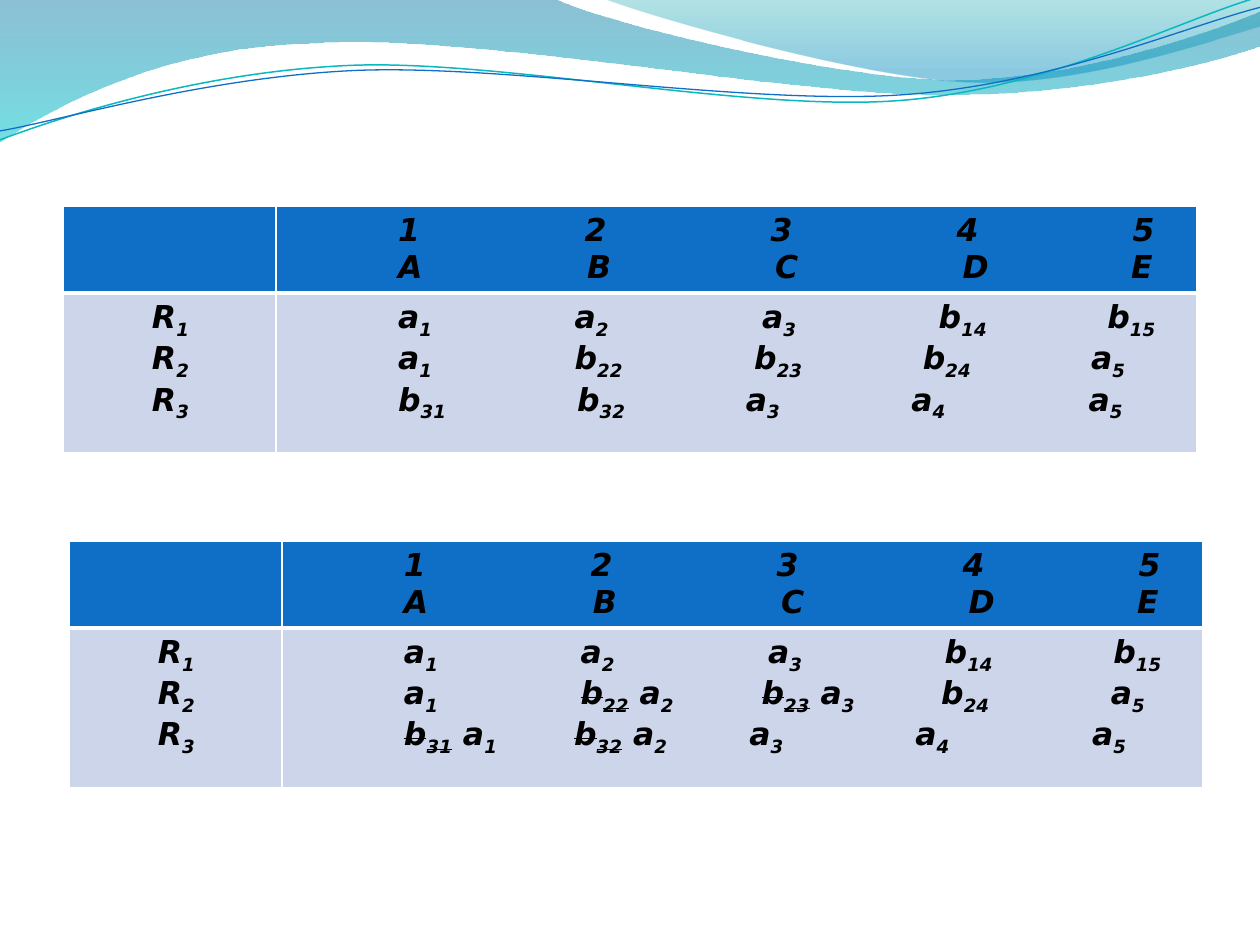
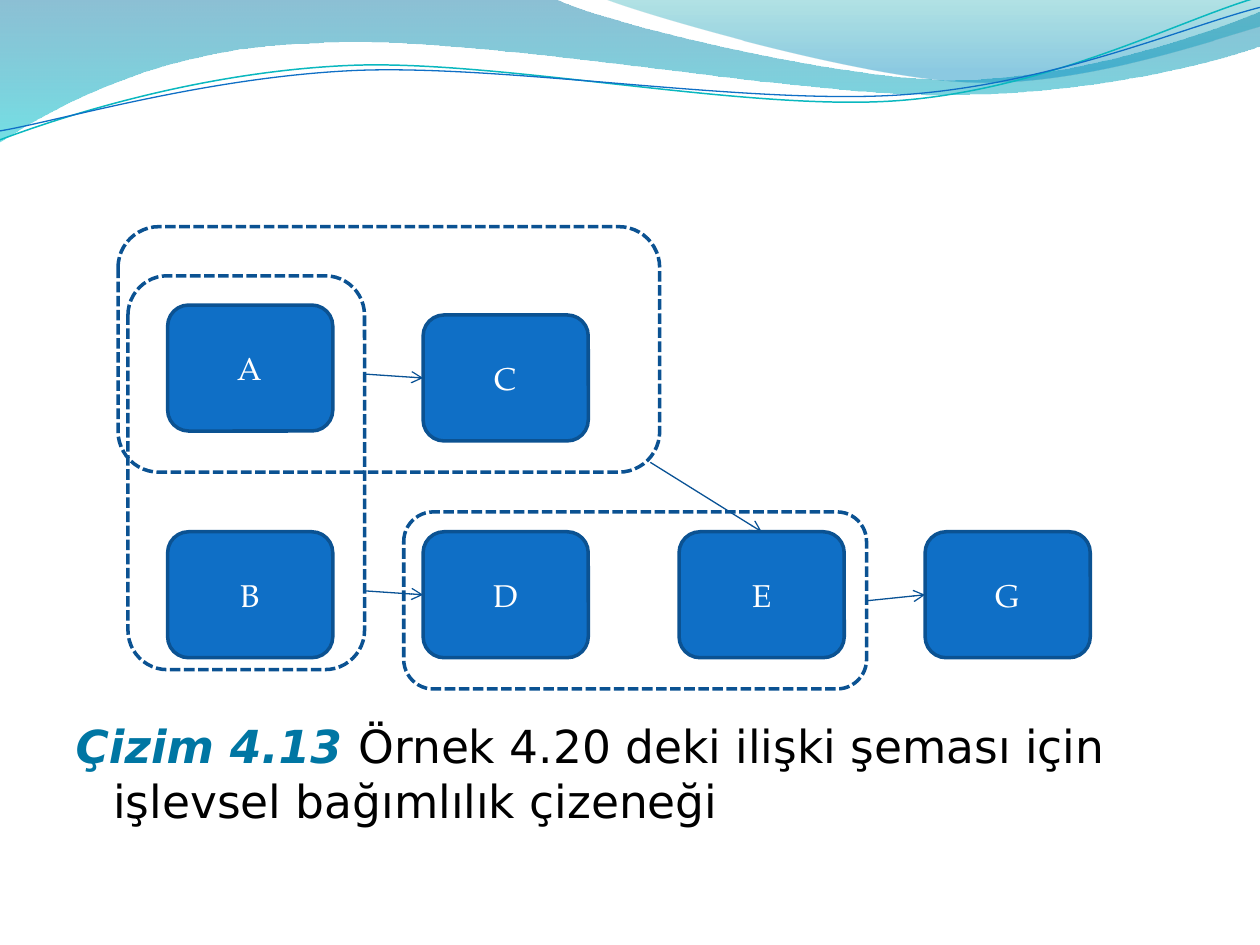
"""Builds two slides: relation tables and a functional dependency diagram."""
from lxml.etree import SubElement
from pptx import Presentation
from pptx.dml.color import RGBColor
from pptx.enum.dml import MSO_LINE
from pptx.enum.shapes import MSO_CONNECTOR, MSO_SHAPE
from pptx.enum.text import MSO_ANCHOR, MSO_AUTO_SIZE, PP_ALIGN
from pptx.oxml.ns import qn
from pptx.util import Cm, Pt

TOP_SITE, LEFT_SITE = 0, 1


def color(value):
    """Return the colour of a hex string."""
    return RGBColor.from_string(value)


class Deck:
    """Holds the shared style and the current slide."""

    BLUE, OUTLINE, ARROW = "0F6FC6", "0B5292", "095295"
    PALE, WHITE, BLACK, ACCENT = "CCD5EA", "FFFFFF", "000000", "0076A3"
    SANS, SERIF = "DejaVu Sans", "TeX Gyre Pagella"

    def __init__(self):
        """Start a presentation of 4:3 slides."""
        self.presentation = Presentation()
        self.presentation.slide_width = Cm(25.4)
        self.presentation.slide_height = Cm(19.05)
        self.slide = None

    def add_slide(self, layout_index):
        """Add a slide and make it the current one."""
        layout = self.presentation.slide_layouts[layout_index]
        self.slide = self.presentation.slides.add_slide(layout)

    def style(self, run, size, font, value, emphasis=False):
        """Format a run; emphasis is bold italic."""
        run.font.size = Pt(size)
        run.font.name = font
        run.font.color.rgb = color(value)
        run.font.bold = run.font.italic = emphasis

    def outline(self, start, segments, closed):
        """Draw straight segments of one point and cubic curves of three."""
        points = [(Cm(x), Cm(y)) for segment in segments for x, y in segment]
        builder = self.slide.shapes.build_freeform(Cm(start[0]), Cm(start[1]))
        builder.add_line_segments(points, close=closed)
        shape = builder.convert_to_shape()
        shape.shadow.inherit = False
        lines = iter(list(shape._element.iter(qn("a:lnTo"))))
        for segment in segments:
            members = [next(lines) for _ in segment]
            if len(members) == 3:
                curve = SubElement(members[0].getparent(), qn("a:cubicBezTo"))
                members[0].addprevious(curve)
                for member in members:
                    curve.append(member[0])
                    member.getparent().remove(member)
        return shape

    def wave(self, start, segments, stops):
        """Draw a filled wave with a transparent vertical gradient."""
        shape = self.outline(start, segments, True)
        shape.line.fill.background()
        shape.fill.gradient()
        shape.fill.gradient_angle = 270
        for stop, (position, value, _) in zip(shape.fill.gradient_stops, stops):
            stop.position = position
            stop.color.rgb = color(value)
        for element, (_, _, opacity) in zip(shape._element.iter(qn("a:srgbClr")), stops):
            SubElement(element, qn("a:alpha")).set("val", str(opacity * 1000))
        return shape

    def wave_line(self, start, segments, value, width):
        """Draw a thin curved line."""
        shape = self.outline(start, segments, False)
        shape.fill.background()
        shape.line.color.rgb = color(value)
        shape.line.width = Pt(width)
        return shape

    def move_to_master(self, shapes):
        """Put shapes behind everything on the slide master."""
        tree = self.presentation.slide_master.shapes._spTree
        for index, shape in enumerate(shapes, 2):
            tree.insert(index, shape._element)

    def borders(self, cell, bottom_width):
        """Give a cell white borders."""
        properties = cell._tc.get_or_add_tcPr()
        for side, width in (("L", 1), ("R", 1), ("T", 1), ("B", bottom_width)):
            line = SubElement(properties, qn(f"a:ln{side}"), w=str(Pt(width)))
            fill = SubElement(line, qn("a:solidFill"))
            SubElement(fill, qn("a:srgbClr"), val=self.WHITE)

    def symbols(self, paragraph, entries, stops):
        """Write entries at tab stops; digits are lowered, a leading minus strikes."""
        tabs = SubElement(paragraph._p.get_or_add_pPr(), qn("a:tabLst"))
        for stop in stops:
            SubElement(tabs, qn("a:tab"), pos=str(Cm(stop)), algn="l")
        for entry in entries:
            gap = "\t"
            for word in entry.split():
                symbol = word.lstrip("-")
                struck = word != symbol
                pieces = [(gap, False, False)] if struck else []
                pieces.append((symbol[0] if struck else gap + symbol[0], struck, False))
                if symbol[1:]:
                    pieces.append((symbol[1:], struck, True))
                for text, strike, lowered in pieces:
                    run = paragraph.add_run()
                    run.text = text
                    self.style(run, 18, self.SANS, self.BLACK, True)
                    if strike:
                        run._r.get_or_add_rPr().set("strike", "sngStrike")
                    if lowered:
                        run._r.get_or_add_rPr().set("baseline", "-25000")
                gap = " "

    def relation_table(self, left, top, rows):
        """Add a table of relations against attributes."""
        frame = self.slide.shapes.add_table(2, 2, Cm(left), Cm(top), Cm(22.86), Cm(4.97))
        table = frame.table
        table.horz_banding = False
        for column, width in zip(table.columns, (4.29, 18.57)):
            column.width = Cm(width)
        for row, height in zip(table.rows, (1.75, 3.22)):
            row.height = Cm(height)
        names = [([name], [1.54]) for name in ("R1", "R2", "R3")]
        contents = (([], HEADINGS), (names, rows))
        for row_index, (fill, bottom) in enumerate(((self.BLUE, 3), (self.PALE, 1))):
            for column_index, lines in enumerate(contents[row_index]):
                cell = table.cell(row_index, column_index)
                self.borders(cell, bottom)
                cell.fill.solid()
                cell.fill.fore_color.rgb = color(fill)
                for index, (entries, stops) in enumerate(lines):
                    text_frame = cell.text_frame
                    paragraph = text_frame.add_paragraph() if index else text_frame.paragraphs[0]
                    self.symbols(paragraph, entries, stops)

    def rounded(self, left, top, width, height):
        """Add an outlined rounded rectangle."""
        shape = self.slide.shapes.add_shape(
            MSO_SHAPE.ROUNDED_RECTANGLE, Cm(left), Cm(top), Cm(width), Cm(height))
        shape.shadow.inherit = False
        shape.line.color.rgb = color(self.OUTLINE)
        shape.line.width = Pt(2)
        return shape

    def box(self, label, left, top):
        """Add a filled attribute box."""
        shape = self.rounded(left, top, 3.33, 2.54)
        shape.fill.solid()
        shape.fill.fore_color.rgb = color(self.BLUE)
        shape.text_frame.text = label
        shape.text_frame.vertical_anchor = MSO_ANCHOR.MIDDLE
        paragraph = shape.text_frame.paragraphs[0]
        paragraph.alignment = PP_ALIGN.CENTER
        self.style(paragraph.runs[0], 18, self.SERIF, self.WHITE)
        return shape

    def group_frame(self, left, top, width, height):
        """Add a dashed frame around attributes."""
        shape = self.rounded(left, top, width, height)
        shape.fill.background()
        shape.line.dash_style = MSO_LINE.SQUARE_DOT

    def arrow(self, x, y, target, site):
        """Draw an arrow from a point to a side of a box."""
        connector = self.slide.shapes.add_connector(
            MSO_CONNECTOR.STRAIGHT, Cm(x), Cm(y), Cm(x), Cm(y))
        connector.end_connect(target, site)
        connector.line.color.rgb = color(self.ARROW)
        connector.line.width = Pt(0.75)
        SubElement(connector.line._get_or_add_ln(), qn("a:tailEnd"), type="arrow")
        SubElement(connector._element.spPr, qn("a:effectLst"))

    def caption(self, label, text):
        """Write the figure caption in the body placeholder."""
        title, body = self.slide.placeholders
        title._element.getparent().remove(title._element)
        body.left, body.top, body.width, body.height = Cm(1.27), Cm(14.35), Cm(22.86), Cm(3.23)
        body.text_frame.auto_size = MSO_AUTO_SIZE.NONE
        body.text_frame.vertical_anchor = MSO_ANCHOR.TOP
        paragraph = body.text_frame.paragraphs[0]
        paragraph.space_before = Pt(0)
        properties = paragraph._p.get_or_add_pPr()
        properties.set("marL", str(Cm(0.76)))
        properties.set("indent", str(Cm(-0.76)))
        SubElement(properties, qn("a:buNone"))
        for words, value, emphasis in ((label, self.ACCENT, True), (text, self.BLACK, False)):
            run = paragraph.add_run()
            run.text = words
            self.style(run, 26, self.SANS, value, emphasis)


HEADINGS = [
    ("12345", (2.21, 5.97, 9.72, 13.47, 17.02)),
    ("ABCDE", (2.21, 6.02, 9.81, 13.59, 16.99)),
]
FIRST_ROW = (["a1", "a2", "a3", "b14", "b15"], (2.21, 5.77, 9.55, 13.11, 16.51))
INITIAL_ROWS = [
    FIRST_ROW,
    (["a1", "b22", "b23", "b24", "a5"], (2.21, 5.77, 9.39, 12.79, 16.18)),
    (["b31", "b32", "a3", "a4", "a5"], (2.21, 5.82, 9.22, 12.56, 16.13)),
]
CHANGED_ROWS = [
    FIRST_ROW,
    (["a1", "-b22 a2", "-b23 a3", "b24", "a5"], (2.21, 5.77, 9.42, 13.04, 16.46)),
    (["-b31 a1", "-b32 a2", "a3", "a4", "a5"], (2.21, 5.64, 9.17, 12.52, 16.08)),
]

deck = Deck()
deck.add_slide(6)
deck.move_to_master([
    deck.wave((0, 0), [
        [(11.18, -0.03)],
        [(12.09, 0.43), (16.87, 1.6), (19.25, 1.6)],
        [(21.67, 1.6), (24.33, 0.66), (25.4, 0.23)],
        [(25.43, 0.91)],
        [(24.97, 1.12), (22.1, 1.93), (18.95, 1.91)],
        [(15.8, 1.91), (9.7, 0.71), (6.53, 0.86)],
        [(3.28, 0.91), (1.17, 2.11), (-0.03, 2.87)],
        [(0, 0)],
    ], [(0, "0074A1", 45), (1, "00C6CF", 55)]),
    deck.wave((12.17, -0.03), [
        [(12.93, 0.28), (17.32, 1.57), (19.53, 1.65)],
        [(21.74, 1.75), (24.41, 0.81), (25.4, 0.53)],
        [(25.4, 0)],
        [(12.17, -0.03)],
    ], [(0, "00A1A9", 30), (0.8, "008BBF", 45)]),
    deck.wave_line((0, 2.82), [
        [(1.22, 2.36), (4.01, 1.45), (7.04, 1.32)],
        [(10.03, 1.19), (15.06, 2.26), (18.11, 2.03)],
        [(21.16, 1.8), (23.83, 0.38), (25.35, -0.05)],
    ], "0AB8BF", 0.85),
    deck.wave_line((0, 2.64), [
        [(1.19, 2.44), (4.17, 1.55), (7.19, 1.42)],
        [(10.24, 1.3), (15.16, 2.13), (18.21, 1.91)],
        [(21.23, 1.7), (23.9, 0.53), (25.4, 0.15)],
    ], Deck.BLUE, 0.75),
])
deck.relation_table(1.27, 4.16, INITIAL_ROWS)
deck.relation_table(1.39, 10.91, CHANGED_ROWS)

deck.add_slide(1)
deck.caption("Çizim 4.13 ", "Örnek 4.20 deki ilişki şeması için işlevsel bağımlılık çizeneği")
boxes = {label: deck.box(label, left, top) for label, left, top in (
    ("A", 3.38, 6.15), ("C", 8.53, 6.35), ("B", 3.38, 10.72),
    ("G", 18.65, 10.72), ("E", 13.69, 10.72), ("D", 8.53, 10.72))}
for frame_place in ((2.58, 5.56, 4.77, 7.94), (2.38, 4.57, 10.92, 4.95),
                    (8.14, 10.32, 9.33, 3.57)):
    deck.group_frame(*frame_place)
for x, y, label, site in ((7.34, 7.54, "C", LEFT_SITE), (13.11, 9.32, "E", TOP_SITE),
                          (17.48, 12.11, "G", LEFT_SITE), (7.34, 11.91, "D", LEFT_SITE)):
    deck.arrow(x, y, boxes[label], site)

deck.presentation.save("out.pptx")
